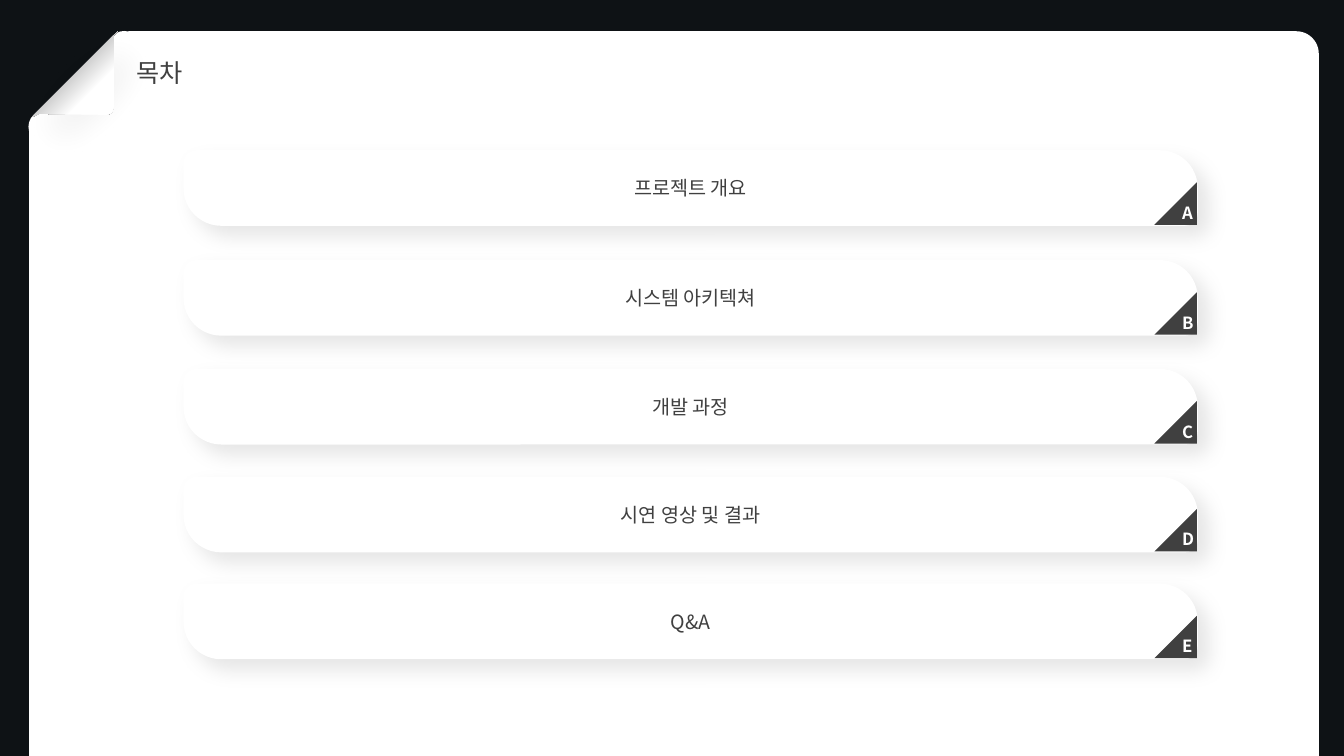
from lxml import etree
from pptx import Presentation
from pptx.dml.color import RGBColor
from pptx.enum.shapes import MSO_SHAPE
from pptx.enum.text import MSO_ANCHOR, PP_ALIGN
from pptx.oxml import parse_xml
from pptx.oxml.ns import nsdecls, qn
from pptx.util import Inches, Pt

LEFT, CENTER = PP_ALIGN.LEFT, PP_ALIGN.CENTER
MIDDLE = MSO_ANCHOR.MIDDLE
ROUND_TOP = MSO_SHAPE.ROUND_2_SAME_RECTANGLE
SNIP_ROUND = MSO_SHAPE.SNIP_ROUND_RECTANGLE
ROUND_DIAG = MSO_SHAPE.ROUND_2_DIAG_RECTANGLE
OVAL, TRIANGLE = MSO_SHAPE.OVAL, MSO_SHAPE.RIGHT_TRIANGLE
FONT = "Noto Sans CJK KR"
INK, WHITE = "404040", "FFFFFF"
NS = nsdecls("a")


def add(kind, box, fill, adj=(), effect=None, flip=False, rotation=0):
    sp = s.shapes.add_shape(kind, *map(Inches, box))
    sp.fill.solid()
    sp.fill.fore_color.rgb = RGBColor.from_string(fill)
    sp.line.fill.background()
    sp.shadow.inherit = False
    sp.rotation = rotation
    for i, value in enumerate(adj):
        sp.adjustments[i] = value
    if flip:
        sp._element.spPr.find(qn("a:xfrm")).set("flipH", "1")
    if effect:
        sp._element.spPr.find(qn("a:effectLst")).append(parse_xml(effect))
    return sp


def write(sp, text, align, size, color, bold=False, insets=(0.1, 0.05, 0.1, 0.05)):
    tf = sp.text_frame
    tf.word_wrap = True
    tf.vertical_anchor = MIDDLE
    for side, inset in zip(("left", "top", "right", "bottom"), insets):
        setattr(tf, f"margin_{side}", Inches(inset))
    p = tf.paragraphs[0]
    p.alignment = align
    r = p.add_run()
    r.text = text
    for name, value in {"name": FONT, "size": Pt(size), "bold": bold}.items():
        setattr(r.font, name, value)
    r.font.color.rgb = RGBColor.from_string(color)
    etree.SubElement(r.font._element, qn("a:ea")).set("typeface", FONT)


prs = Presentation()
prs.slide_width, prs.slide_height = Inches(13.33), Inches(7.5)
s = prs.slides.add_slide(prs.slide_layouts[5])
s.background.fill.solid()
s.background.fill.fore_color.rgb = RGBColor.from_string("0E1215")

add(ROUND_TOP, (0.12, 0.7, 1.44, 0.33), WHITE, (0.5, 0), rotation=315)
add(SNIP_ROUND, (0.29, 0.31, 12.79, 7.19), WHITE, (0.031, 0.137), flip=True)

shade = add(OVAL, (-0.12, 0.29, 2.03, 1.33), "000000", rotation=315,
            effect=f'<a:softEdge {NS} rad="{Pt(25)}"/>')
black = shade._element.spPr.find(qn("a:solidFill"))[0]
etree.SubElement(black, qn("a:alpha")).set("val", "7000")

fold_points = [(1.13, 0.35), (1.13, 1.06), (1.11, 1.12), (1.06, 1.14),
               (0.39, 1.13), (0.32, 1.16)]
builder = s.shapes.build_freeform(Inches(1.17), Inches(0.31))
builder.add_line_segments([(Inches(x), Inches(y)) for x, y in fold_points])
fold = builder.convert_to_shape()
fold.line.fill.background()
fold.shadow.inherit = False
fold.fill.gradient()
fold.fill.gradient_angle = 315
stops = fold._element.spPr.find(qn("a:gradFill")).find(qn("a:gsLst"))
for stop in list(stops):
    stops.remove(stop)
for pos, color in [(0, WHITE), (16, "808080"), (70, WHITE)]:
    stops.append(parse_xml(
        f'<a:gs {NS} pos="{pos * 1000}"><a:srgbClr val="{color}"/></a:gs>'))

title = s.shapes.title
title.left, title.top, title.width, title.height = map(Inches, (1.35, 0.45, 8, 0.54))
write(title, "목차", LEFT, 18, INK, insets=(0, 0, 0, 0))
s.shapes._spTree.append(title._element)

bar_shadow = (
    f'<a:outerShdw {NS} blurRad="{Pt(15)}" dist="{Pt(10)}" dir="2700000" algn="tl" '
    'rotWithShape="0"><a:srgbClr val="000000"><a:alpha val="10000"/></a:srgbClr>'
    '</a:outerShdw>')
agenda = [
    (1.49, "A", "프로젝트 개요"),
    (2.58, "B", "시스템 아키텍쳐"),
    (3.66, "C", "개발 과정"),
    (4.73, "D", "시연 영상 및 결과"),
    (5.79, "E", "Q&A"),
]
for top, letter, topic in agenda:
    bar = add(ROUND_DIAG, (1.82, top, 10.06, 0.75), WHITE, (0.167, 0.5), bar_shadow)
    write(bar, topic, CENTER, 14, INK)
    corner = add(TRIANGLE, (11.45, top + 0.32, 0.42, 0.42), INK, flip=True)
    write(corner, letter, CENTER, 12, WHITE, True, (0.1, 0.05, 0.1, 0.08))

prs.save("out.pptx")
